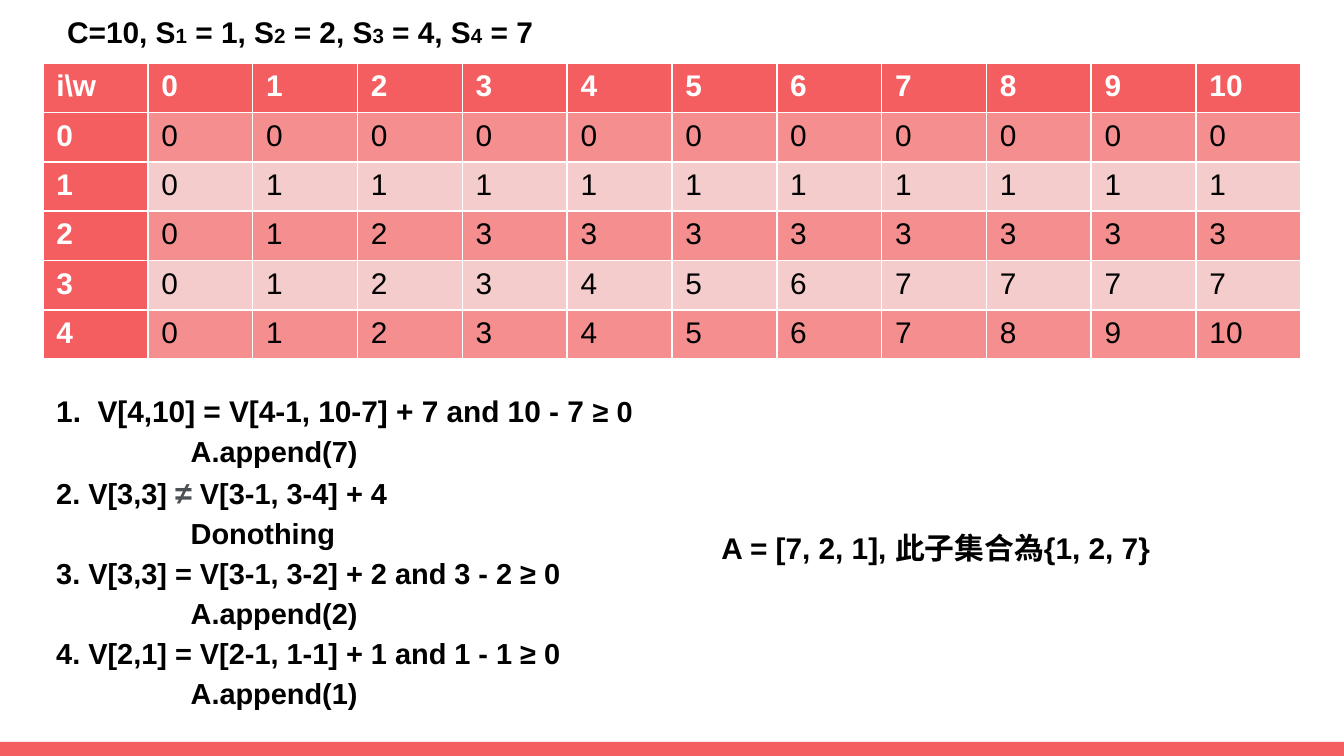
"""Build the subset-sum table slide with its traceback steps."""
from dataclasses import dataclass
from itertools import accumulate

from lxml import etree
from pptx import Presentation
from pptx.dml.color import RGBColor
from pptx.enum.shapes import MSO_SHAPE
from pptx.enum.text import MSO_ANCHOR, MSO_AUTO_SIZE, PP_ALIGN
from pptx.oxml.ns import qn
from pptx.util import Inches, Pt

RECTANGLE = MSO_SHAPE.RECTANGLE
TOP = MSO_ANCHOR.TOP
GROW = MSO_AUTO_SIZE.SHAPE_TO_FIT_TEXT
LEFT = PP_ALIGN.LEFT
JUSTIFY = PP_ALIGN.JUSTIFY


@dataclass(frozen=True)
class Theme:
    font: str = "Arial"
    body: float = 16
    step: float = 15.5
    symbol: float = 16.5
    subscript: float = 11
    black: str = "000000"
    white: str = "FFFFFF"
    gray: str = "4D5156"
    red: str = "F55E61"
    bands: tuple[str, str] = ("F58F8F", "F4CCCC")


THEME = Theme()


@dataclass(frozen=True)
class Run:
    text: str
    size: float = THEME.body
    color: str = THEME.black
    bold: bool = True


@dataclass(frozen=True)
class Line:
    runs: tuple[Run, ...]
    tab: float = 0
    alignment: PP_ALIGN = LEFT


@dataclass(frozen=True)
class Box:
    left: float
    top: float
    width: float
    height: float

    def lengths(self) -> tuple:
        return tuple(Inches(value) for value in (self.left, self.top, self.width, self.height))


CAPACITY = 10
SIZES = (1, 2, 4, 7)
TITLE_BOX = Box(0.4, 0, 3.96, 0.47)
TABLE_BOX = Box(0.32, 0.47, 9.36, 1.86)
STEPS_BOX = Box(0.32, 2.78, 4.68, 2.63)
ANSWER_BOX = Box(5.27, 3.84, 3.96, 0.47)
FOOTER_BOX = Box(0, 5.52, 10, 0.11)


def step_line(text: str) -> Line:
    return Line((Run(text, THEME.step),))


def action_line(text: str, alignment: PP_ALIGN = LEFT) -> Line:
    return Line((Run("\t" + text, THEME.step),), 1, alignment)


STEPS = (
    Line((Run("1.  V[4,10] = V[4-1, 10-7] + 7 and 10 - 7 "), Run("≥ 0", THEME.step))),
    action_line("A.append(7)"),
    Line((
        Run("2. V[3,3] ", THEME.step),
        Run("≠", THEME.symbol, THEME.gray),
        Run(" V[3-1, 3-4] + 4", THEME.step),
    )),
    action_line("Donothing"),
    step_line("3. V[3,3] = V[3-1, 3-2] + 2 and 3 - 2 ≥ 0"),
    action_line("A.append(2)"),
    step_line("4. V[2,1] = V[2-1, 1-1] + 1 and 1 - 1 ≥ 0"),
    action_line("A.append(1)", JUSTIFY),
)


def add_run(paragraph, content: Run) -> None:
    run = paragraph.add_run()
    run.text = content.text
    values = {"name": THEME.font, "size": Pt(content.size), "bold": content.bold}
    for name, value in values.items():
        setattr(run.font, name, value)
    run.font.color.rgb = RGBColor.from_string(content.color)


def add_tab_stop(paragraph, position: float) -> None:
    properties = paragraph._p.get_or_add_pPr()
    stops = etree.SubElement(properties, qn("a:tabLst"))
    etree.SubElement(stops, qn("a:tab"), pos=str(Inches(position)), algn="l")


def write_lines(shape, lines: tuple[Line, ...], spacing: float = 1) -> None:
    frame = shape.text_frame
    values = {"word_wrap": True, "auto_size": GROW, "vertical_anchor": TOP}
    margins = ("margin_left", "margin_top", "margin_right", "margin_bottom")
    values.update(dict.fromkeys(margins, Inches(0.1)))
    for name, value in values.items():
        setattr(frame, name, value)
    for index, line in enumerate(lines):
        paragraph = frame.add_paragraph() if index else frame.paragraphs[0]
        if line.tab:
            add_tab_stop(paragraph, line.tab)
        paragraph.alignment = line.alignment
        paragraph.line_spacing = spacing
        for run in line.runs:
            add_run(paragraph, run)


def add_title(slide) -> None:
    title = slide.shapes.title
    title.left, title.top, title.width, title.height = TITLE_BOX.lengths()
    runs = [Run(f"C={CAPACITY}")]
    for number, size in enumerate(SIZES, start=1):
        runs += [Run(", S"), Run(str(number), THEME.subscript), Run(f" = {size}")]
    write_lines(title, (Line(tuple(runs)),))


def add_text(slide, box: Box, lines: tuple[Line, ...], spacing: float = 1) -> None:
    write_lines(slide.shapes.add_textbox(*box.lengths()), lines, spacing)


def add_values_table(slide) -> None:
    weights = range(CAPACITY + 1)
    reachable = accumulate(SIZES, initial=0)
    rows = [["i\\w", *weights]]
    rows += [[item, *(min(weight, total) for weight in weights)]
             for item, total in enumerate(reachable)]
    table = slide.shapes.add_table(len(rows), len(rows[0]), *TABLE_BOX.lengths()).table
    table.first_col = True
    for row, values in enumerate(rows):
        for column, value in enumerate(values):
            cell = table.cell(row, column)
            heading = row == 0 or column == 0
            cell.fill.solid()
            fill = THEME.red if heading else THEME.bands[(row - 1) % 2]
            cell.fill.fore_color.rgb = RGBColor.from_string(fill)
            color = THEME.white if heading else THEME.black
            add_run(cell.text_frame.paragraphs[0], Run(str(value), THEME.body, color, heading))


def add_footer(slide) -> None:
    footer = slide.shapes.add_shape(RECTANGLE, *FOOTER_BOX.lengths())
    footer.shadow.inherit = False
    footer.fill.solid()
    footer.fill.fore_color.rgb = RGBColor.from_string(THEME.red)
    footer.line.fill.background()


def main() -> None:
    presentation = Presentation()
    presentation.slide_width = Inches(10)
    presentation.slide_height = presentation.slide_width * 9 // 16
    slide = presentation.slides.add_slide(presentation.slide_layouts.get_by_name("Title Only"))
    add_footer(slide)
    add_values_table(slide)
    add_title(slide)
    add_text(slide, STEPS_BOX, STEPS, 1.15)
    add_text(slide, ANSWER_BOX, (Line((Run("A = [7, 2, 1], 此子集合為{1, 2, 7}"),)),))
    presentation.save("out.pptx")


if __name__ == "__main__":
    main()
